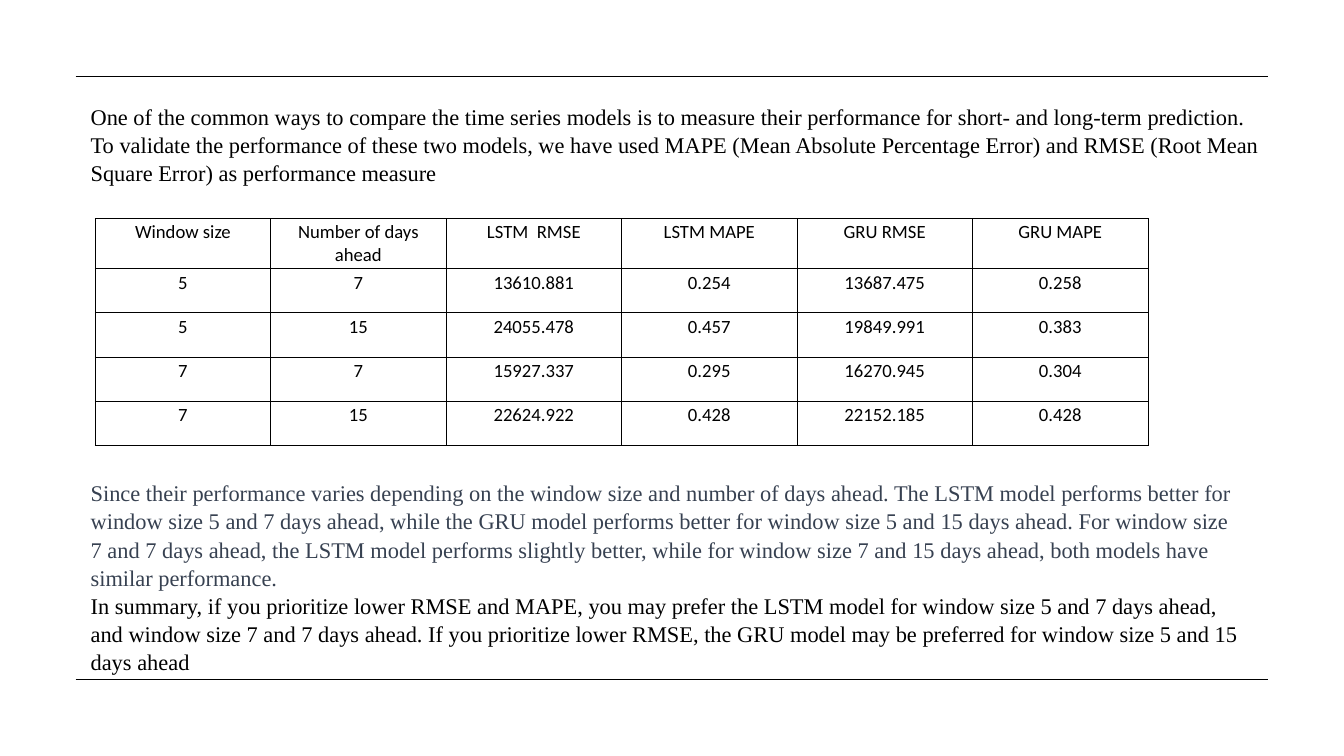
"""Build a slide comparing LSTM and GRU errors."""
import dataclasses

import lxml.etree
import pptx
import pptx.dml.color
import pptx.enum.shapes
import pptx.enum.text
import pptx.oxml.ns
import pptx.slide
import pptx.table
import pptx.text.text
import pptx.util

SCALE = 9525
BLACK = "000000"
GREY = "374151"
SERIF = "Times New Roman"
SANS = "Calibri"


@dataclasses.dataclass(frozen=True)
class Para:
    """Hold one paragraph and its colour."""
    text: str
    color: str = BLACK


@dataclasses.dataclass(frozen=True)
class Note:
    """Hold the place and paragraphs of one text box."""
    left: int
    top: int
    width: int
    height: int
    paras: tuple[Para, ...]


RULES = (971, 109)
INTRO = Note(120, 140, 1688, 126, (
    Para("One of the common ways to compare the time series models is to measure their "
         "performance for short- and long-term prediction. To validate the performance of "
         "these two models, we have used MAPE (Mean Absolute Percentage Error) and RMSE "
         "(Root Mean Square Error) as performance measure"),
))
RESULT = Note(120, 678, 1664, 281, (
    Para("Since their performance varies depending on the window size and number of days "
         "ahead. The LSTM model performs better for window size 5 and 7 days ahead, while "
         "the GRU model performs better for window size 5 and 15 days ahead. For window "
         "size 7 and 7 days ahead, the LSTM model performs slightly better, while for "
         "window size 7 and 15 days ahead, both models have similar performance.", GREY),
    Para("In summary, if you prioritize lower RMSE and MAPE, you may prefer the LSTM model "
         "for window size 5 and 7 days ahead, and window size 7 and 7 days ahead. If you "
         "prioritize lower RMSE, the GRU model may be preferred for window size 5 and 15 "
         "days ahead"),
))
SCORES = (
    ("Window size", "Number of days ahead", "LSTM  RMSE", "LSTM MAPE", "GRU RMSE", "GRU MAPE"),
    ("5", "7", "13610.881", "0.254", "13687.475", "0.258"),
    ("5", "15", "24055.478", "0.457", "19849.991", "0.383"),
    ("7", "7", "15927.337", "0.295", "16270.945", "0.304"),
    ("7", "15", "22624.922", "0.428", "22152.185", "0.428"),
)


def px(size: int) -> pptx.util.Emu:
    """Turn px into EMU."""
    return pptx.util.Emu(size * SCALE)


def rgb(color: str) -> pptx.dml.color.RGBColor:
    """Turn a hex string into a colour."""
    return pptx.dml.color.RGBColor.from_string(color)


def add_run(para: pptx.text.text._Paragraph, text: str, font: str, size: int,
            color: str) -> None:
    """Add one styled run to a paragraph."""
    run = para.add_run()
    run.text = text
    run.font.name = font
    run.font.size = pptx.util.Pt(size)
    run.font.color.rgb = rgb(color)


def draw_rule(slide: pptx.slide.Slide, top: int) -> None:
    """Draw one rule across the slide."""
    kind = pptx.enum.shapes.MSO_CONNECTOR.STRAIGHT
    rule = slide.shapes.add_connector(kind, px(108), px(top), px(1812), px(top))
    rule.line.color.rgb = rgb(BLACK)
    rule.line.width = pptx.util.Pt(1.5)
    props = rule._element.spPr
    lxml.etree.SubElement(props, pptx.oxml.ns.qn("a:effectLst"))


def draw_note(slide: pptx.slide.Slide, note: Note) -> None:
    """Draw one text box with its paragraphs."""
    box = slide.shapes.add_textbox(
        px(note.left), px(note.top), px(note.width), px(note.height))
    frame = box.text_frame
    frame.word_wrap = True
    frame.auto_size = pptx.enum.text.MSO_AUTO_SIZE.SHAPE_TO_FIT_TEXT
    for index, item in enumerate(note.paras):
        para = frame.add_paragraph() if index else frame.paragraphs[0]
        para.line_spacing = 1.05
        add_run(para, item.text, SERIF, 24, item.color)


def draw_edge(cell: pptx.table._Cell) -> None:
    """Draw a thin black border on all sides of a cell."""
    props = cell._tc.get_or_add_tcPr()
    for side in ("lnL", "lnR", "lnT", "lnB"):
        line = lxml.etree.SubElement(
            props, pptx.oxml.ns.qn(f"a:{side}"), w=str(pptx.util.Pt(1)))
        fill = lxml.etree.SubElement(line, pptx.oxml.ns.qn("a:solidFill"))
        lxml.etree.SubElement(fill, pptx.oxml.ns.qn("a:srgbClr"), val=BLACK)


def draw_table(slide: pptx.slide.Slide, rows: tuple[tuple[str, ...], ...]) -> None:
    """Draw the table of scores."""
    high = 63
    table = slide.shapes.add_table(
        len(rows), len(rows[0]), px(136), px(312), px(1504), px(high * len(rows))).table
    table.first_row = False
    table.horz_banding = False
    for row, texts in enumerate(rows):
        for col, text in enumerate(texts):
            cell = table.cell(row, col)
            draw_edge(cell)
            cell.fill.background()
            cell.margin_top = cell.margin_bottom = px(4)
            para = cell.text_frame.paragraphs[0]
            para.alignment = pptx.enum.text.PP_ALIGN.CENTER
            add_run(para, text, SANS, 20, BLACK)


def main() -> None:
    """Build and save the slide."""
    deck = pptx.Presentation()
    deck.slide_width, deck.slide_height = px(1920), px(1080)
    slide = deck.slides.add_slide(deck.slide_layouts[6])
    for top in RULES:
        draw_rule(slide, top)
    draw_note(slide, INTRO)
    draw_table(slide, SCORES)
    draw_note(slide, RESULT)
    deck.save("out.pptx")


if __name__ == "__main__":
    main()
